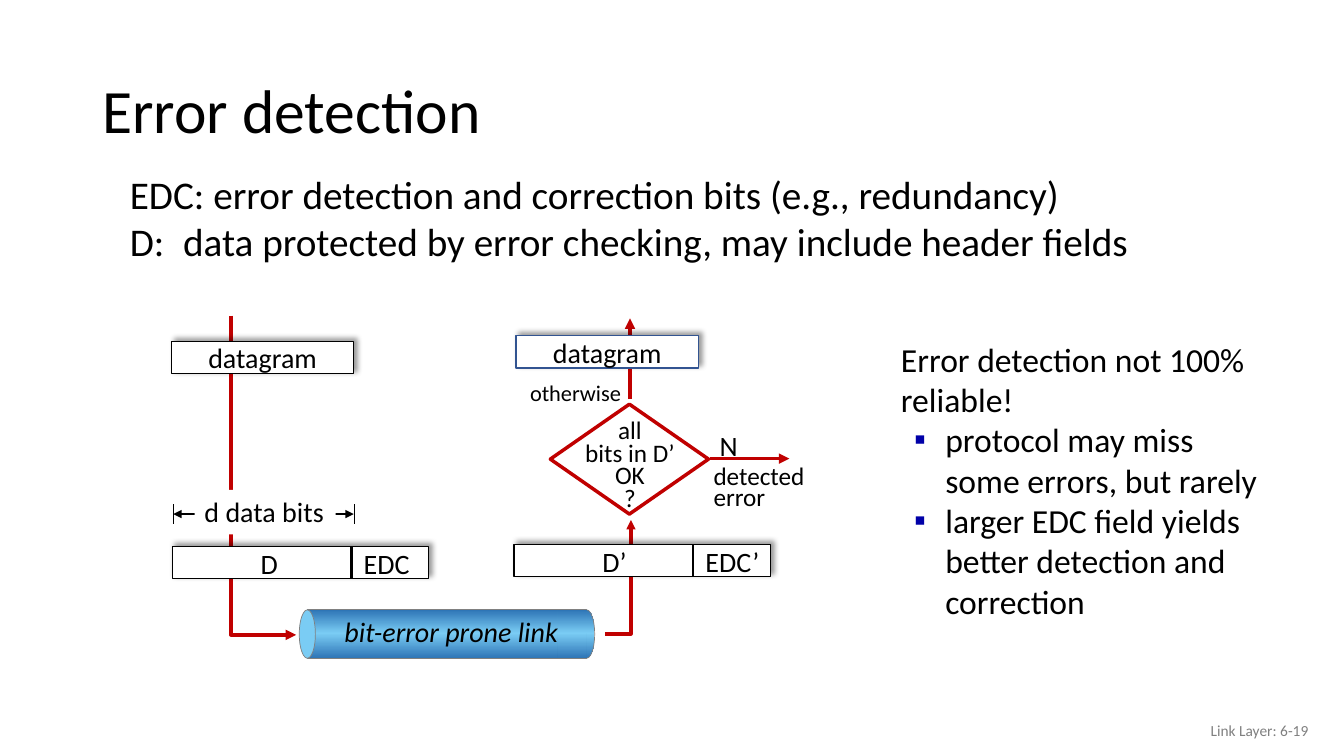
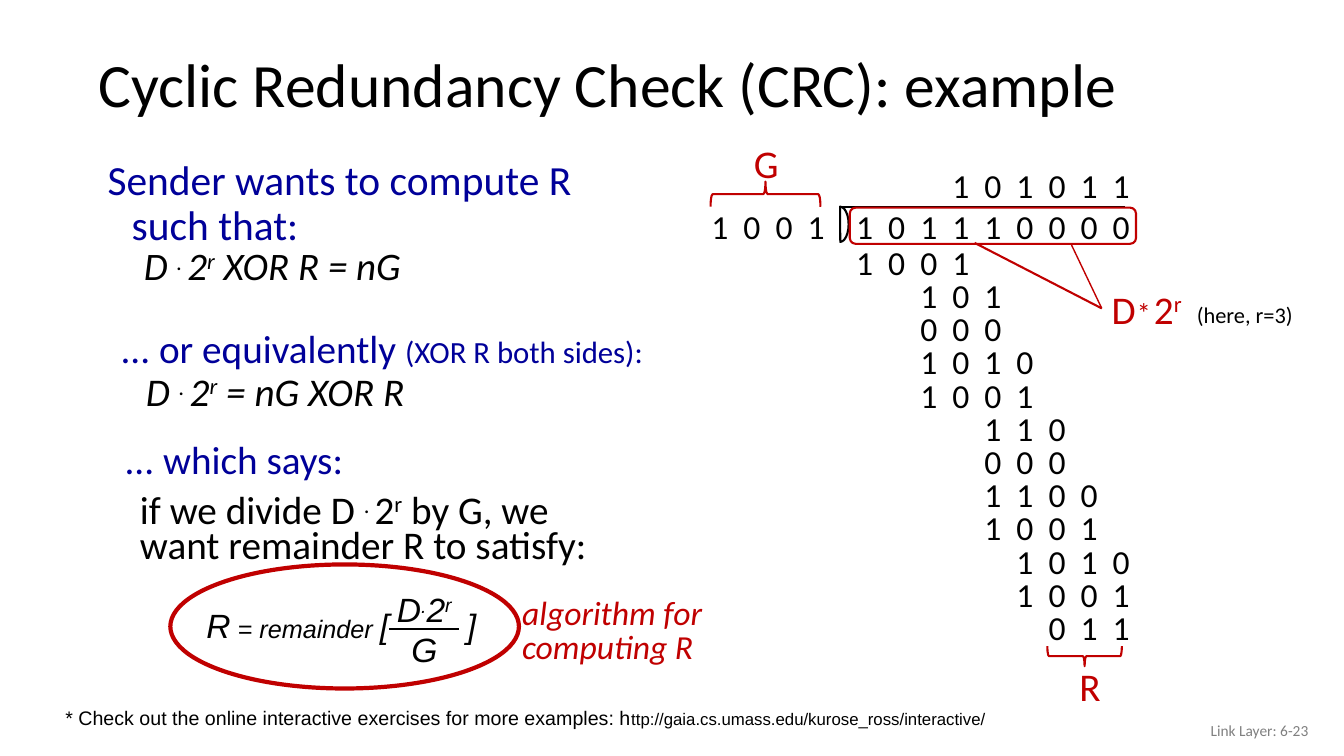
import copy
from dataclasses import dataclass
from typing import Optional, Sequence, Union

import pptx
import pptx.dml.color
import pptx.enum.shapes
import pptx.enum.text
import pptx.oxml.ns
import pptx.util
from lxml import etree

Pt = pptx.util.Pt
RGB = pptx.dml.color.RGBColor
SHAPE = pptx.enum.shapes.MSO_SHAPE
ALIGN = pptx.enum.text.PP_ALIGN
ANCHOR = pptx.enum.text.MSO_ANCHOR
qn = pptx.oxml.ns.qn

BLACK = RGB(0x00, 0x00, 0x00)
WHITE = RGB(0xFF, 0xFF, 0xFF)
RED = RGB(0xC0, 0x00, 0x00)
NAVY = RGB(0x00, 0x00, 0x99)
BULLET = RGB(0x00, 0x00, 0xA8)
GREY = RGB(0x80, 0x80, 0x80)
STEEL = RGB(0x32, 0x54, 0x91)
PIPE_DARK = RGB(0x2E, 0x75, 0xB6)
PIPE_LIGHT = RGB(0x7A, 0xCC, 0xF4)


@dataclass(frozen=True)
class Run:
    text: str
    size: Optional[float] = None
    color: Optional[RGB] = None
    base: int = 0  # superscript offset in percent


@dataclass(frozen=True)
class Para:
    runs: Sequence[Run]
    left: float = 0
    first: float = 0
    before: float = 0
    spacing: Optional[float] = None
    tabs: Sequence[float] = ()
    bullet: bool = False
    size: Optional[float] = None
    color: Optional[RGB] = None
    italic: Optional[bool] = None


@dataclass(frozen=True)
class DigitRow:
    digits: str
    column: int
    top: float


Content = Union[str, Sequence[Para]]


def sub(parent, tag: str, **attrs):
    return etree.SubElement(parent, qn(tag), {k: str(v) for k, v in attrs.items()})


# Text
def fill_text(tf, content: Content, *, size: float = 20, color: RGB = BLACK, font: str = "Calibri",
              italic: bool = False, align=ALIGN.LEFT, spacing: float = 1.0,
              anchor=ANCHOR.TOP, wrap: bool = False) -> None:
    """Write a string (one paragraph a line) or a list of Para into a text frame."""
    if isinstance(content, str):
        content = [Para([Run(line)]) for line in content.split("\n")]
    tf.word_wrap = wrap
    tf.vertical_anchor = anchor
    for i, para in enumerate(content):
        p = tf.paragraphs[0] if i == 0 else tf.add_paragraph()
        pPr = p._p.get_or_add_pPr()
        if para.left or para.first:
            pPr.set("marL", str(Pt(para.left)))
            pPr.set("indent", str(Pt(para.first)))
        if para.bullet:
            sub(sub(pPr, "a:buClr"), "a:srgbClr", val=BULLET)
            sub(pPr, "a:buFont", typeface="Arial")
            sub(pPr, "a:buChar", char="▪")
        if para.tabs:
            tabs = sub(pPr, "a:tabLst")
            for pos in para.tabs:
                sub(tabs, "a:tab", pos=Pt(pos), algn="l")
        p.alignment = align
        p.line_spacing = para.spacing or spacing
        p.space_before = Pt(para.before)
        for run in para.runs:
            r = p.add_run()
            r.text = run.text
            r.font.name = font
            r.font.size = Pt(run.size or para.size or size)
            r.font.color.rgb = run.color or para.color or color
            r.font.italic = italic if para.italic is None else para.italic
            if run.base:
                r._r.get_or_add_rPr().set("baseline", str(run.base * 1000))


def text(s, content: Content, x: float, y: float, w: float, h: float, **fmt):
    sp = s.shapes.add_textbox(Pt(x), Pt(y), Pt(w), Pt(h))
    fill_text(sp.text_frame, content, **fmt)
    return sp


# Shapes and lines
def style(sp, fill: Optional[RGB], line: Optional[RGB], width: float) -> None:
    sp.shadow.inherit = False
    if fill is None:
        sp.fill.background()
    else:
        sp.fill.solid()
        sp.fill.fore_color.rgb = fill
    if line is None:
        sp.line.fill.background()
    else:
        sp.line.color.rgb = line
        sp.line.width = Pt(width)


def shape(s, kind, x: float, y: float, w: float, h: float, *, fill: Optional[RGB] = None,
          line: Optional[RGB] = None, width: float = 1, rotation: float = 0):
    sp = s.shapes.add_shape(kind, Pt(x), Pt(y), Pt(w), Pt(h))
    style(sp, fill, line, width)
    sp.rotation = rotation
    return sp


def arrowheads(sp, head: bool, tail: bool) -> None:
    ln = sp._element.spPr.find(qn("a:ln"))
    for on, tag in ((head, "a:headEnd"), (tail, "a:tailEnd")):
        if on:
            sub(ln, tag, type="triangle")


def line(s, x1: float, y1: float, x2: float, y2: float, color: RGB, width: float,
         head: bool = False, tail: bool = False) -> None:
    c = s.shapes.add_connector(pptx.enum.shapes.MSO_CONNECTOR.STRAIGHT, Pt(x1), Pt(y1), Pt(x2), Pt(y2))
    c.line.color.rgb = color
    c.line.width = Pt(width)
    arrowheads(c, head, tail)
    sub(c._element.spPr, "a:effectLst")


def arrow_path(s, points: Sequence[tuple[float, float]], width: float) -> None:
    start, *rest = [(Pt(x), Pt(y)) for x, y in points]
    fb = s.shapes.build_freeform(*start)
    fb.add_line_segments(rest, close=False)
    sp = fb.convert_to_shape()
    style(sp, None, RED, width)
    arrowheads(sp, False, True)


def pipe_gradient(sp) -> None:
    sp.fill.gradient()
    stops = sp._element.spPr.find(".//" + qn("a:gsLst"))
    stops.append(copy.deepcopy(stops[0]))
    for stop, pos, color in zip(sp.fill.gradient_stops, (0, 0.52, 1), (PIPE_DARK, PIPE_LIGHT, PIPE_DARK)):
        stop.position = pos
        stop.color.rgb = color
    sp.fill.gradient_angle = 90


def shadow_box(s, x: float, y: float, w: float, edge: RGB = BLACK):
    sp = shape(s, SHAPE.RECTANGLE, x, y, w, 23, fill=WHITE, line=edge)
    shadow = sub(sp._element.spPr.find(qn("a:effectLst")), "a:outerShdw",
                 blurRad=Pt(4), dist=Pt(3), dir=315 * 60000, algn="bl", rotWithShape=0)
    sub(sub(shadow, "a:srgbClr", val=BLACK), "a:alpha", val=40000)
    return sp


def datagram(s, x: float, y: float, edge: RGB) -> None:
    tf = shadow_box(s, x, y, 130.3, edge).text_frame
    tf.margin_left = tf.margin_right = tf.margin_top = tf.margin_bottom = 0
    fill_text(tf, "datagram", align=ALIGN.CENTER, anchor=ANCHOR.MIDDLE)


def frame(s, x: float, y: float, mark: str = "") -> None:
    shadow_box(s, x, y, 183)
    text(s, "D" + mark, x + 56, y - 3.6, 27 if not mark else 32, 31.7)
    text(s, "EDC" + mark, x + 129.6, y - 3.6, 47.5 if not mark else 53, 31.7)
    line(s, x + 128, y, x + 128, y + 23, BLACK, 1.75)


# Slides
def new_slide(prs, title: str, number: int, x: float, y: float, h: float):
    s = prs.slides.add_slide(prs.slide_layouts[5])
    sp = s.shapes.title
    sp.left, sp.top, sp.width, sp.height = Pt(x), Pt(y), Pt(828), Pt(h)
    fill_text(sp.text_frame, title, size=44, spacing=0.9, anchor=ANCHOR.MIDDLE, wrap=True)
    text(s, f"Link Layer: 6-{number}", 725.8, 507.6, 216, 28.8, size=11, color=GREY,
         align=ALIGN.RIGHT, anchor=ANCHOR.MIDDLE, wrap=True)
    return s


def error_detection(prs) -> None:
    s = new_slide(prs, "Error detection", 19, 66, 28.8, 104.4)
    text(s, [Para([Run("EDC: error detection and correction bits (e.g., redundancy)")]),
             Para([Run("D:\tdata protected by error checking, may include header fields")], tabs=[38])],
         85.7, 118, 777, 75, size=28, wrap=True)
    points = ["protocol may miss some errors, but rarely",
              "larger EDC field yields better detection and correction"]
    text(s, [Para([Run("Error detection not 100% reliable!")])]
         + [Para([Run(t)], left=31.7, first=-22.3, bullet=True) for t in points],
         636.5, 238.3, 271.5, 202, size=24, wrap=True)

    # Sender
    arrow_path(s, [(165, 225.5), (165, 453.5), (211.5, 453.5)], 2.5)
    datagram(s, 122.4, 244, BLACK)
    frame(s, 123.1, 390.2)
    line(s, 123.8, 367.2, 252.7, 367.2, BLACK, 1.75, head=True, tail=True)
    sp = text(s, "d data bits", 139, 350, 100.8, 31.7)
    sp.fill.solid()
    sp.fill.fore_color.rgb = WHITE
    for x in (123.8, 253.4):
        line(s, x, 360, x, 374.4, BLACK, 0.5)

    # Link
    for kind, x, w, edge in ((SHAPE.RECTANGLE, 219.6, 199.4, GREY), (SHAPE.OVAL, 213.8, 11.5, GREY),
                             (SHAPE.OVAL, 413.3, 11.5, GREY), (SHAPE.RECTANGLE, 398.2, 20.9, None)):
        sp = shape(s, kind, x, 435.6, w, 34.6, fill=PIPE_LIGHT, line=edge, width=0.5)
        if x != 213.8:  # the open end stays plain
            pipe_gradient(sp)
    text(s, "bit-error prone link", 239, 435.6, 168.5, 31.7, italic=True)

    # Receiver
    arrow_path(s, [(432, 452.9), (450.7, 452.9), (450.7, 371.5)], 2.25)
    frame(s, 367.2, 388.8, "’")
    shape(s, SHAPE.DIAMOND, 393.1, 288.7, 113, 78.5, fill=WHITE, line=RED, width=2.5)
    text(s, "all\nbits in D’\nOK\n?", 410.4, 297.4, 79.2, 73.4, size=18, spacing=0.75, align=ALIGN.CENTER)
    text(s, "N", 506.9, 302.4, 27.4, 31.7)
    text(s, "detected\nerror", 502.6, 331.2, 84.2, 38.9, size=18, spacing=0.7, wrap=True)
    line(s, 506.9, 327.6, 563.8, 327.6, RED, 2.5, tail=True)
    line(s, 450, 285.1, 450, 227.5, RED, 2.5, tail=True)
    text(s, "otherwise", 371.5, 272.2, 80.6, 21.6, size=16, spacing=0.7, wrap=True)
    datagram(s, 368.6, 239.8, STEEL)


def crc_example(prs) -> None:
    s = new_slide(prs, "Cyclic Redundancy Check (CRC): example", 23, 63.4, 27.4, 70.6)
    power = [Run(". ", base=26), Run("2"), Run("r", base=30)]

    # Derivation
    def equation(rest: str, size: float, spacing: float) -> Para:
        return Para([Run("D "), *power, Run(rest)], left=54.7, first=-18, before=5,
                    spacing=spacing, size=size, color=BLACK, italic=True)

    blue = dict(size=28, color=NAVY, wrap=True)
    text(s, [Para([Run("Sender wants to compute R such that:", 29.6)], left=28, first=-17.3, spacing=0.9),
             equation(" XOR R = nG", 27.8, 0.65)], 59, 110.9, 402.5, 105, **blue)
    text(s, [Para([Run("... or equivalently "), Run("(XOR R both sides):", 22)], left=28, first=-9.4),
             equation(" = nG XOR R", 28, 0.75)], 60.5, 236.2, 413.3, 69, spacing=0.75, **blue)
    text(s, [Para([Run("... which says:")], left=25),
             Para([Run("if we divide D "), *power, Run(" by G, we want remainder R to satisfy:")],
                  left=36, before=10, color=BLACK)], 56.9, 315.4, 392.4, 98.6, spacing=0.75, **blue)

    # Remainder formula
    arial = dict(size=24, font="Arial", italic=True, wrap=True)
    text(s, [Para([Run("D"), Run(".", base=26), *power[1:]]), Para([Run("G")])],
         250.6, 416.9, 105, 64.8, align=ALIGN.CENTER, **arial)
    line(s, 277.9, 449.3, 327.6, 449.3, BLACK, 1.5)
    text(s, [Para([Run("R"), Run(" = remainder ", 18), Run("[\t]")], tabs=[186])],
         140.4, 428.4, 219.6, 37.4, **arial)
    text(s, "algorithm for\ncomputing R", 365.8, 423.4, 149.8, 56.9, size=24, color=RED,
         italic=True, spacing=0.85)
    shape(s, SHAPE.OVAL, 121.7, 403.2, 249, 88.6, line=RED, width=3)
    text(s, [Para([Run("* Check out the online interactive exercises for more examples: h"),
                   Run("ttp://gaia.cs.umass.edu/kurose_ross/interactive/", 12)])],
         39.6, 500.4, 751, 24.5, size=14, font="Arial", wrap=True)

    # Long division: digits stand in columns of equal width
    pitch, left, step = 22.9, 604.5, 23.7
    work = [("1001", 0), ("101", 2), ("000", 2), ("1010", 2), ("1001", 2), ("110", 4), ("000", 4),
            ("1100", 4), ("1001", 4), ("1010", 5), ("1001", 5), ("011", 6)]
    rows = [DigitRow("101011", 3, 114.2), DigitRow("101110000", 0, 143.7)]
    rows += [DigitRow(digits, col, 169.2 + i * step) for i, (digits, col) in enumerate(work)]

    def digit_row(digits: str, x: float, y: float) -> None:
        n = len(digits)
        text(s, [Para([Run("\t".join(digits))], tabs=[pitch * i for i in range(1, n)])],
             x, y, pitch * n + 10, 36, size=24, wrap=True)

    for row in rows:
        digit_row(row.digits, left + pitch * row.column, row.top)
    digit_row("1001", 501.1, 143.3)
    line(s, 601.2, 147.6, 803.5, 147.6, BLACK, 1.5)
    sp = shape(s, SHAPE.PIE, 587.5, 154.1, 25.2, 12.2, line=BLACK, width=1.5, rotation=270)
    sp.adjustments[0], sp.adjustments[1] = 0, 107.535

    # Red marks
    red = dict(size=28, color=RED)
    shape(s, SHAPE.ROUNDED_RECTANGLE, 607, 148.3, 204.5, 25.9, line=RED, width=1.5)
    shape(s, SHAPE.RIGHT_BRACE, 537.8, 99.4, 18, 78.5, line=RED, width=1.5, rotation=270)
    shape(s, SHAPE.RIGHT_BRACE, 767.5, 442.1, 14.4, 53.3, line=RED, width=1.5, rotation=90)
    text(s, "G", 531.4, 95.8, 32.4, 41, **red)
    text(s, "R", 763.9, 469.4, 30.2, 41, **red)
    line(s, 696.2, 173.5, 787, 220.3, RED, 1.5)
    line(s, 765.4, 175, 787, 220.3, RED, 1)
    text(s, "D", 787, 200.2, 31.7, 41, **red)
    text(s, "*", 805, 207.4, 24.5, 31.7, color=RED)
    text(s, [Para(power[1:])], 817.2, 200.2, 36, 41, **red)
    text(s, "(here, r=3)", 847.8, 211.7, 84, 26.6, size=16)


def main() -> None:
    prs = pptx.Presentation()
    prs.slide_width, prs.slide_height = Pt(960), Pt(540)
    error_detection(prs)
    crc_example(prs)
    prs.save("out.pptx")


if __name__ == "__main__":
    main()
